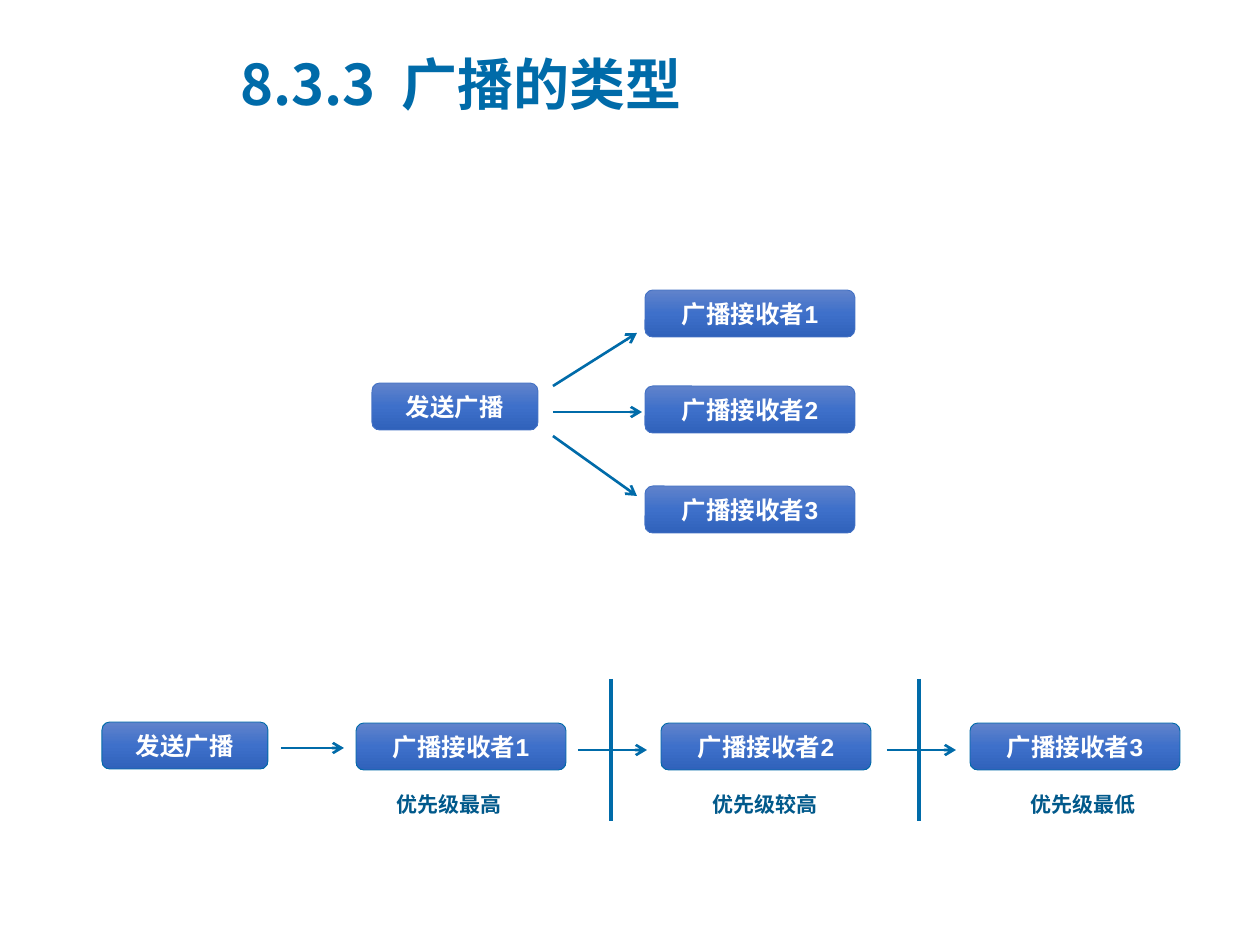
from copy import deepcopy

from pptx import Presentation
from pptx import util as u
from pptx.dml.color import RGBColor
from pptx.enum import shapes, text
from pptx.oxml.ns import qn
from pptx.oxml.xmlchemy import OxmlElement

PX = u.Inches(1) / 126
COLORS = {
    "blue": "006BA9", "edge": "4472C4", "label": "01598B", "white": "FFFFFF",
    "top": "6183CB", "mid": "3E70CA", "low": "3062BB",
}
SEND = "发送广播"
RECEIVER = "广播接收者"


def px(*sizes):
    return [round(n * PX) for n in sizes]


def color(name):
    return RGBColor.from_string(COLORS[name])


def write(frame, words, size, tint, face="Arial"):
    frame.text = words
    para = frame.paragraphs[0]
    font = para.font
    font.name, font.size, font.bold = face, u.Pt(size), True
    font.color.rgb = color(tint)
    return para


def shade(fill):
    """Fill from top to bottom with three stops."""
    fill.gradient()
    fill.gradient_angle = 270
    stops = fill._xPr.find(qn("a:gradFill")).find(qn("a:gsLst"))
    stops.append(deepcopy(stops[-1]))
    for i, (stop, tint) in enumerate(zip(fill.gradient_stops, ("top", "mid", "low"))):
        stop.position = i / 2
        stop.color.rgb = color(tint)


def add_box(slide, words, x, y, w, edge):
    box = slide.shapes.add_shape(
        shapes.MSO_SHAPE.ROUNDED_RECTANGLE, *px(x, y, w, 47))
    box.shadow.inherit = False
    shade(box.fill)
    box.line.color.rgb = color(edge)
    box.line.width = u.Pt(0.5)
    frame = box.text_frame
    frame.word_wrap = True
    frame.vertical_anchor = text.MSO_ANCHOR.MIDDLE
    write(frame, words, 14, "white").alignment = text.PP_ALIGN.CENTER


def add_line(slide, x1, y1, x2, y2, width=1.5, arrow=True):
    line = slide.shapes.add_connector(
        shapes.MSO_CONNECTOR.STRAIGHT, *px(x1, y1, x2, y2))
    line.line.color.rgb = color("blue")
    line.line.width = u.Pt(width)
    if arrow:
        tail = OxmlElement("a:tailEnd")
        tail.set("type", "arrow")
        line.line._get_or_add_ln().append(tail)
    line._element.spPr.append(OxmlElement("a:effectLst"))


def add_label(slide, words, x, y):
    label = slide.shapes.add_textbox(*px(x, y, 131, 38))
    label.line.color.rgb = color("white")
    label.line.width = u.Pt(0.75)
    label.text_frame.word_wrap = False
    write(label.text_frame, words, 12, "label")


def add_title(slide, words):
    face = "Noto Sans CJK SC"
    frame = slide.shapes.add_textbox(*px(228, 30, 709, 106)).text_frame
    frame.word_wrap = True
    frame.vertical_anchor = text.MSO_ANCHOR.MIDDLE
    para = write(frame, words, 32, "blue", face)
    east = OxmlElement("a:ea")
    east.set("typeface", face)
    for props in (para.font._element, para.runs[0].font._element):
        props.append(deepcopy(east))


def main():
    deck = Presentation()
    deck.slide_width, deck.slide_height = px(1260, 945)
    slide = deck.slides.add_slide(deck.slide_layouts[6])
    add_title(slide, "8.3.3  广播的类型")

    # Normal broadcast: one sender reaches all receivers at once
    add_box(slide, SEND, 372, 383, 166, "edge")
    fan = [(290, 386, 637, 333), (386, 412, 642, 412), (486, 436, 637, 496)]
    for i, (top, start, x, end) in enumerate(fan, 1):
        add_box(slide, f"{RECEIVER}{i}", 645, top, 210, "edge")
        add_line(slide, 553, start, x, end)

    # Ordered broadcast: receivers in turn, by priority
    add_box(slide, SEND, 102, 722, 166, "blue")
    add_line(slide, 281, 748, 344, 748)
    chain = [(356, 384, "最高"), (661, 700, "较高"), (970, 1018, "最低")]
    for i, (x, left, rank) in enumerate(chain, 1):
        add_box(slide, f"{RECEIVER}{i}", x, 723, 210, "blue")
        add_label(slide, f"优先级{rank}", left, 785)

    # Steps between receivers, each crossed by a bar
    for x, bar in ((578, 611), (887, 919)):
        add_line(slide, x, 750, x + 69, 750)
        add_line(slide, bar, 679, bar, 821, 2.25, arrow=False)

    deck.save("out.pptx")


if __name__ == "__main__":
    main()
